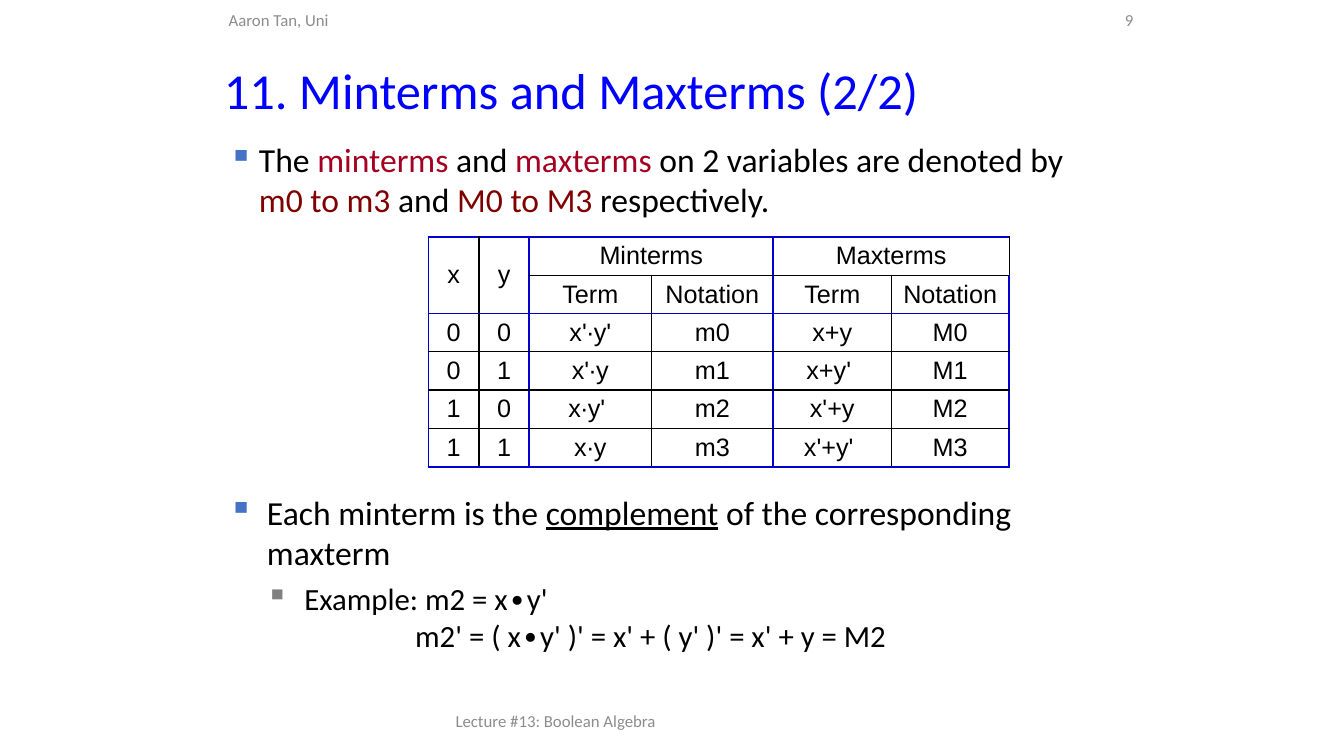
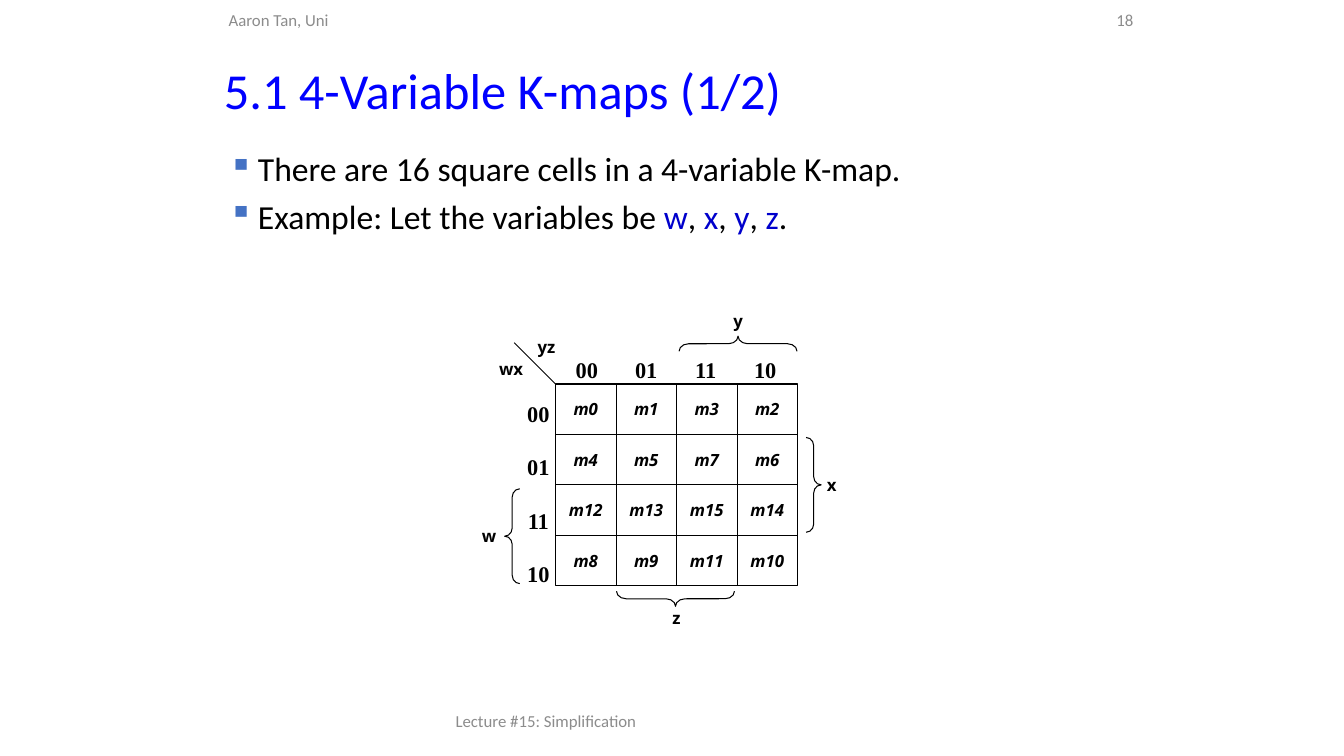
from lxml.etree import SubElement
from pptx import Presentation
from pptx.dml.color import RGBColor
from pptx.enum.shapes import MSO_CONNECTOR, MSO_SHAPE
from pptx.enum.text import MSO_ANCHOR, MSO_AUTO_SIZE, PP_ALIGN
from pptx.oxml.ns import qn
from pptx.util import Inches, Pt

INK = {
    "title": "0000FF", "text": "000000", "muted": "8C8C8C", "blue": "0000CC",
    "red": "A50021", "maroon": "800000", "bullet": "4472C4", "sub": "808080",
}


def color(name):
    return RGBColor.from_string(INK[name])


def style(para, size, face="Calibri", ink="text", bold=None, italic=None):
    font = para.font
    font.name, font.size = face, Pt(size)
    font.bold, font.italic = bold, italic
    font.color.rgb = color(ink)


def textbox(slide, left, top, width, height, anchor=MSO_ANCHOR.TOP):
    box = slide.shapes.add_textbox(*map(Inches, (left, top, width, height)))
    frame = box.text_frame
    frame.word_wrap = True
    frame.vertical_anchor = anchor
    return frame


def note(slide, text, left, top, width, height, align=PP_ALIGN.LEFT):
    frame = textbox(slide, left, top, width, height, MSO_ANCHOR.MIDDLE)
    para = frame.paragraphs[0]
    para.text, para.alignment = text, align
    style(para, 12, ink="muted")


def page(deck, title, footer, number):
    slide = deck.slides.add_slide(deck.slide_layouts[5])
    head = slide.shapes.title
    head.left, head.top, head.width, head.height = map(Inches, (2.12, 0.57, 9.07, 0.7))
    frame = head.text_frame
    frame.auto_size = MSO_AUTO_SIZE.NONE
    frame.vertical_anchor = MSO_ANCHOR.MIDDLE
    para = frame.paragraphs[0]
    para.text, para.alignment, para.line_spacing = title, PP_ALIGN.LEFT, 0.9
    style(para, 36, ink="title")
    note(slide, "Aaron Tan, Uni", 2.17, 0.02, 3.17, 0.36)
    note(slide, footer, 4.42, 6.95, 4.5, 0.4)
    note(slide, number, 10.39, 0.02, 0.95, 0.36, PP_ALIGN.RIGHT)
    return slide


def point(frame, runs, left, hang, size=24, bullet="bullet", gap=5):
    first = not frame.paragraphs[0].runs
    para = frame.paragraphs[0] if first else frame.add_paragraph()
    para.space_before = Pt(0 if first else gap)
    props = para._p.get_or_add_pPr()
    props.set("marL", str(Inches(left)))
    props.set("indent", str(-Inches(hang)))
    if bullet:
        tint = SubElement(props, qn("a:buClr"))
        SubElement(tint, qn("a:srgbClr"), val=INK[bullet])
        SubElement(props, qn("a:buChar"), char="▪")
    style(para, size)
    for text, ink in runs:
        run = para.add_run()
        run.text = text
        if ink == "line":
            run.font.underline = True
        elif ink != "text":
            run.font.color.rgb = color(ink)


def border(cell, side, strong):
    line = SubElement(cell._tc.get_or_add_tcPr(), qn("a:ln" + side),
                      w=str(Pt(1.5 if strong else 1)))
    fill = SubElement(line, qn("a:solidFill"))
    SubElement(fill, qn("a:srgbClr"), val=INK["blue" if strong else "text"])


def terms(slide, left, top):
    rows = [
        ["x", "y", "Minterms", "", "Maxterms", ""],
        ["", "", "Term", "Notation", "Term", "Notation"],
        ["0", "0", "x'∙y'", "m0", "x+y", "M0"],
        ["0", "1", "x'∙y", "m1", "x+y' ", "M1"],
        ["1", "0", "x∙y' ", "m2", "x'+y", "M2"],
        ["1", "1", "x∙y", "m3", "x'+y' ", "M3"],
    ]
    widths = [0.5, 0.5, 1.21, 1.21, 1.17, 1.17]
    high = 0.38
    table = slide.shapes.add_table(
        len(rows), len(widths), Inches(left), Inches(top),
        Inches(sum(widths)), Inches(high * len(rows))).table
    table.first_row = table.horz_banding = False
    for col, width in zip(table.columns, widths):
        col.width = Inches(width)
    for r, row in enumerate(rows):
        table.rows[r].height = Inches(high)
        for c, text in enumerate(row):
            cell = table.cell(r, c)
            cell.margin_top = cell.margin_bottom = Inches(0.04)
            cell.vertical_anchor = MSO_ANCHOR.MIDDLE
            para = cell.text_frame.paragraphs[0]
            para.text, para.alignment = text, PP_ALIGN.CENTER
            style(para, 18, "Arial")
            border(cell, "L", c % 2 == 0)
            border(cell, "R", c % 2 == 1)
            border(cell, "T", r in (0, 2))
            border(cell, "B", r in (1, 5))
            cell.fill.background()
    for c in (0, 1):
        table.cell(0, c).merge(table.cell(1, c))
    for c in (2, 4):
        table.cell(0, c).merge(table.cell(0, c + 1))


def label(slide, text, x, y, size=12, face="Open Sans", italic=None):
    frame = textbox(slide, x - 0.3, y - 0.2, 0.6, 0.4, MSO_ANCHOR.MIDDLE)
    para = frame.paragraphs[0]
    para.text, para.alignment = text, PP_ALIGN.CENTER
    style(para, size, face, bold=True, italic=italic)


def thin(shape):
    shape.line.color.rgb = color("text")
    shape.line.width = Pt(0.75)


def rule(slide, *ends):
    line = slide.shapes.add_connector(MSO_CONNECTOR.STRAIGHT, *map(Inches, ends))
    thin(line)
    SubElement(line._element.spPr, qn("a:effectLst"))


def outline(slide, kind, left, top, width, height):
    shape = slide.shapes.add_shape(kind, *map(Inches, (left, top, width, height)))
    shape.shadow.inherit = False
    shape.fill.background()
    thin(shape)
    return shape


def brace(slide, x, y, span, turn, bend):
    shape = outline(slide, MSO_SHAPE.LEFT_BRACE, x - 0.075, y - span / 2, 0.15, span)
    shape.rotation = turn
    shape.adjustments[0] = bend


def kmap(slide, left, top):
    wide, high = 0.6, 0.5
    cells = [[0, 1, 3, 2], [4, 5, 7, 6], [12, 13, 15, 14], [8, 9, 11, 10]]
    outline(slide, MSO_SHAPE.RECTANGLE, left, top, 4 * wide, 4 * high)
    for i in range(1, 4):
        x, y = left + i * wide, top + i * high
        rule(slide, x, top, x, top + 4 * high)
        rule(slide, left, y, left + 4 * wide, y)
    for r, row in enumerate(cells):
        for c, number in enumerate(row):
            label(slide, f"m{number}", left + (c + 0.5) * wide,
                  top + (r + 0.5) * high, italic=True)
    for i, code in enumerate(("00", "01", "11", "10")):
        label(slide, code, left + 0.31 + 0.59 * i, top - 0.14, 16, "Times New Roman")
        label(slide, code, left - 0.17, top + 0.29 + 0.53 * i, 16, "Times New Roman")
    rule(slide, left - 0.41, top - 0.41, left, top)
    for name, x, y in (("wx", -0.44, -0.15), ("yz", -0.09, -0.37),
                       ("w", -0.66, 1.51), ("x", 2.74, 1),
                       ("y", 1.81, -0.63), ("z", 1.2, 2.32)):
        label(slide, name, left + x, top + y)
    for x, y, span, turn, bend in ((-0.43, 1.51, 0.94, 0, 0.54),
                                   (2.56, 1, 0.94, 180, 0.54),
                                   (1.81, -0.4, 1.17, 90, 0.63),
                                   (1.19, 2.13, 1.17, 270, 0.63)):
        brace(slide, left + x, top + y, span, turn, bend)


def minterms(deck):
    slide = page(deck, "11. Minterms and Maxterms (2/2)",
                 "Lecture #13: Boolean Algebra", "9")
    intro = textbox(slide, 2.17, 1.33, 8.83, 1)
    point(intro, [
        ("The ", "text"), ("minterms", "red"), (" and ", "text"), ("maxterms", "red"),
        (" on 2 variables are denoted by ", "text"), ("m0 to m3", "maroon"),
        (" and ", "text"), ("M0 to M3", "maroon"), (" respectively.", "text")], 0.3, 0.3)
    terms(slide, 4.25, 2.35)
    proof = textbox(slide, 2.17, 4.83, 9, 1.83)
    point(proof, [("Each minterm is the ", "text"), ("complement", "line"),
                  (" of the corresponding maxterm", "text")], 0.38, 0.38)
    point(proof, [("Example: m2 = x∙y'", "text")], 0.75, 0.38, 22, "sub")
    point(proof, [("m2' = ( x∙y' )' = x' + ( y' )' = x' + y = M2", "text")],
          1.85, 0, 22, None, 0)


def fourmap(deck):
    slide = page(deck, "5.1 4-Variable K-maps (1/2)",
                 "Lecture #15: Simplification", "18")
    intro = textbox(slide, 2.17, 1.42, 9, 1.19)
    point(intro, [("There are 16 square cells in a 4-variable K-map.", "text")], 0.29, 0.29)
    runs = [("Example: Let the variables be ", "text")]
    for name, mark in zip("wxyz", (", ", ", ", ", ", ".")):
        runs += [(name, "blue"), (mark, "text")]
    point(intro, runs, 0.29, 0.29)
    kmap(slide, 5.51, 3.81)


def main():
    deck = Presentation()
    deck.slide_width, deck.slide_height = Inches(13.33), Inches(7.5)
    minterms(deck)
    fourmap(deck)
    deck.save("out.pptx")


if __name__ == "__main__":
    main()
